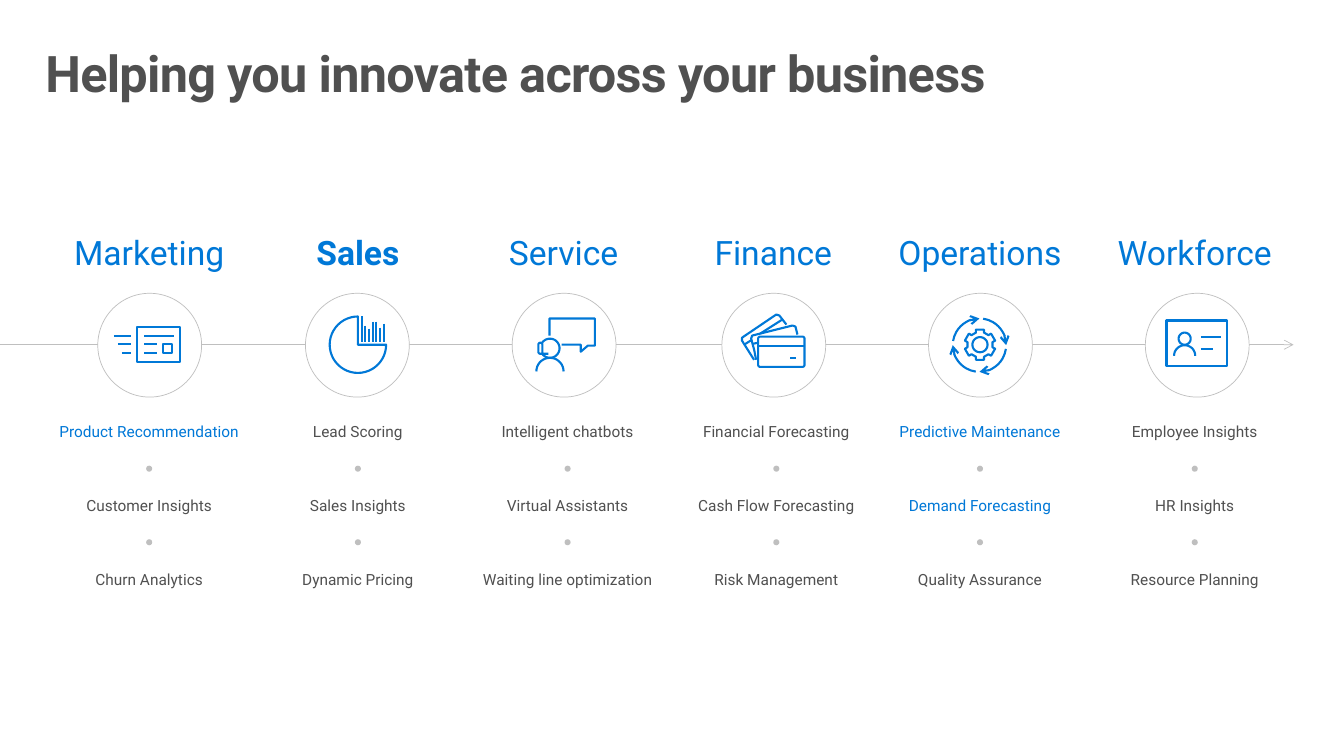
from dataclasses import dataclass
from math import ceil, cos, radians, sin

from pptx import Presentation
from pptx.dml.color import RGBColor
from pptx.enum.shapes import MSO_CONNECTOR, MSO_SHAPE
from pptx.enum.text import MSO_ANCHOR, PP_ALIGN
from pptx.oxml.ns import qn
from pptx.oxml.xmlchemy import OxmlElement as new_element
from pptx.util import Emu, Pt

EMU_PER_PX = 9144  # 100 px to the inch
FONT = "Roboto"
BLUE = RGBColor(0x00, 0x78, 0xD7)
DARK = RGBColor(0x50, 0x50, 0x50)
GREY = RGBColor(0xBF, 0xBF, 0xBF)
WHITE = RGBColor(0xFF, 0xFF, 0xFF)

Point = tuple[float, float]
Stroke = list[Point]


@dataclass(frozen=True)
class Topic:
    text: str
    highlighted: bool = False


@dataclass(frozen=True)
class Column:
    heading: str
    heading_left: int
    circle_left: int
    topics_left: int
    topics: tuple[Topic, Topic, Topic]
    bold: bool = False


COLUMNS = [
    Column("Marketing", 50, 97, 50,
           (Topic("Product Recommendation", True), Topic("Customer Insights"), Topic("Churn Analytics"))),
    Column("Sales", 257, 303, 257,
           (Topic("Lead Scoring"), Topic("Sales Insights"), Topic("Dynamic Pricing")), bold=True),
    Column("Service", 461, 508, 465,
           (Topic("Intelligent chatbots"), Topic("Virtual Assistants"), Topic("Waiting line optimization"))),
    Column("Finance", 669, 716, 672,
           (Topic("Financial Forecasting"), Topic("Cash Flow Forecasting"), Topic("Risk Management"))),
    Column("Operations", 874, 921, 874,
           (Topic("Predictive Maintenance", True), Topic("Demand Forecasting", True), Topic("Quality Assurance"))),
    Column("Workforce", 1087, 1136, 1087,
           (Topic("Employee Insights"), Topic("HR Insights"), Topic("Resource Planning"))),
]


def px(value: float) -> Emu:
    return Emu(round(value * EMU_PER_PX))


def add_text(text: str, left: int, top: int, width: int, height: int, size: int,
             color: RGBColor, bold: bool = False):
    shape = slide.shapes.add_textbox(px(left), px(top), px(width), px(height))
    frame = shape.text_frame
    frame.word_wrap = True
    frame.margin_left = frame.margin_right = frame.margin_top = frame.margin_bottom = 0
    frame.vertical_anchor = MSO_ANCHOR.MIDDLE
    paragraph = frame.paragraphs[0]
    paragraph.text = text
    paragraph.alignment = PP_ALIGN.CENTER
    font = paragraph.font
    font.name, font.size, font.bold = FONT, Pt(size), bold
    font.color.rgb = color
    return shape


def add_preset(kind: MSO_SHAPE, left: int, top: int, size: int, fill: RGBColor | None,
               line: RGBColor | None, weight: float = 1.5):
    shape = slide.shapes.add_shape(kind, px(left), px(top), px(size), px(size))
    shape.shadow.inherit = False
    if fill is None:
        shape.fill.background()
    else:
        shape.fill.solid()
        shape.fill.fore_color.rgb = fill
    if line is None:
        shape.line.fill.background()
    else:
        shape.line.color.rgb = line
        shape.line.width = Pt(weight)
    return shape


def add_line(start: Point, end: Point, color: RGBColor = BLUE, weight: float = 1.5):
    line = slide.shapes.add_connector(MSO_CONNECTOR.STRAIGHT, *map(px, start + end))
    line.line.color.rgb = color
    line.line.width = Pt(weight)
    line._element.spPr.append(new_element("a:effectLst"))
    return line


def add_arrowhead(shape, end: str) -> None:
    head = new_element(f"a:{end}")
    head.set("type", "arrow")
    shape.line._get_or_add_ln().append(head)


def add_strokes(*strokes: Stroke) -> None:
    builder = slide.shapes.build_freeform(*map(px, strokes[0][0]), scale=1.0)
    for stroke in strokes:
        start, *rest = [(px(x), px(y)) for x, y in stroke]
        builder.move_to(*start)
        builder.add_line_segments(rest, close=False)
    shape = builder.convert_to_shape()
    shape.shadow.inherit = False
    shape.fill.background()
    shape.line.color.rgb = BLUE
    shape.line.width = Pt(1.5)


def arc(x: float, y: float, radius: float, start: int, end: int) -> Stroke:
    """Points along an arc; angles run clockwise from the right."""
    steps = ceil(abs(end - start) / 10)
    angles = [radians(start + (end - start) * i / steps) for i in range(steps + 1)]
    return [(x + radius * cos(a), y + radius * sin(a)) for a in angles]


def box(left: int, top: int, right: int, bottom: int) -> Stroke:
    return [(left, top), (right, top), (right, bottom), (left, bottom), (left, top)]


def draw_mailing() -> None:
    rows = [(113, 130, 333), (117, 130, 341), (121, 130, 350),
            (143, 173, 333), (143, 156, 341), (143, 156, 350)]
    add_strokes(*[[(left, y), (right, y)] for left, right, y in rows],
                box(136, 324, 179, 359), box(162, 341, 171, 350))


def draw_sales_chart() -> None:
    add_preset(MSO_SHAPE.PIE, 327, 314, 56, None, BLUE)
    for i, top in enumerate((314, 323, 326, 319, 319, 325, 321)):
        x = 359 + 11 * i // 3
        add_line((x, top), (x, 339))


def draw_agent() -> None:
    headset = [(538, 351), *arc(536, 342, 2, 0, -180), (534, 348), *arc(536, 349, 2, 180, 90), (544, 351)]
    add_strokes(arc(545.5, 368.5, 13.5, 180, 360), headset, arc(545.5, 345.5, 9.5, 145, -145))
    add_strokes([(545, 333), (545, 316), (590, 316), (590, 343), (583, 343),
                 (576, 349), (576, 342), (557, 342)])


def draw_cards() -> None:
    corners = [(754, 336, 180), (796, 336, 270), (796, 362, 0), (754, 362, 90)]
    front = [point for x, y, start in corners for point in arc(x, y, 2, start, start + 90)]
    add_strokes(front + front[:1], [(752, 343), (798, 343)], [(784, 355), (790, 355)])
    add_strokes([(750, 357), (748, 347), (745, 336), (746, 333), (786, 323), (789, 324), (791, 332)])
    add_strokes([(748, 357), (736, 338), (736, 335), (770, 312), (773, 313), (780, 322)])
    for start, end in [((747, 341), (752, 340)), ((738, 342), (746, 337)), ((754, 331), (776, 317))]:
        add_line(start, end)


def draw_process() -> None:
    # Four arrows around the gear
    for flips, start, end, arrow in [((), 278, 360, "tailEnd"), (("flipV",), 270, 352, "headEnd"),
                                     (("flipH",), 270, 351, "headEnd"), (("flipH", "flipV"), 278, 360, "tailEnd")]:
        shape = add_preset(MSO_SHAPE.ARC, 945, 316, 53, None, BLUE)
        shape.adjustments[0], shape.adjustments[1] = start * 0.6, end % 360 * 0.6
        for flip in flips:
            shape._element.spPr.find(qn("a:xfrm")).set(flip, "1")
        add_arrowhead(shape, arrow)
    # Gear: one tooth turned six times
    tooth = [(-4, -12), (-4, -15), (4, -15), (4, -12)]
    turns = [radians(60 * i) for i in range(6)]
    gear = [(972 + x * cos(a) - y * sin(a), 342 + x * sin(a) + y * cos(a)) for a in turns for x, y in tooth]
    add_strokes(arc(972, 342, 7.5, 0, 360), gear + gear[:1])


def draw_badge() -> None:
    add_strokes([(1191, 334), (1211, 334)], [(1191, 346), (1203, 346)], box(1157, 318, 1217, 363),
                arc(1175, 336, 6, 0, 360), arc(1175, 353, 10.5, 180, 360))


presentation = Presentation()
presentation.slide_width, presentation.slide_height = px(1333), px(750)
slide = presentation.slides.add_slide(presentation.slide_layouts[6])

# Title
title = add_text("Helping you innovate across your business", 29, 32, 1275, 98, 36, DARK, bold=True)
title_frame = title.text_frame
title_frame.margin_left = title_frame.margin_right = px(16)
title_frame.margin_top = title_frame.margin_bottom = px(10)
title_frame.vertical_anchor = MSO_ANCHOR.TOP
title_frame.paragraphs[0].alignment = PP_ALIGN.LEFT
title_frame.paragraphs[0].runs[0]._r.get_or_add_rPr().set("spc", "-50")

# Timeline behind the circles
add_arrowhead(add_line((0, 342), (1283, 342), GREY, 0.5), "tailEnd")

# Columns: heading, circle, topics and the dots between them
for column in COLUMNS:
    add_text(column.heading, column.heading_left, 229, 196, 42, 24, BLUE, column.bold)
    add_preset(MSO_SHAPE.OVAL, column.circle_left, 291, 103, WHITE, GREY, 0.5)
    for row, topic in enumerate(column.topics):
        offset = 147 * row // 2
        add_text(topic.text, column.topics_left, 407 + offset, 196, 42, 11,
                 BLUE if topic.highlighted else DARK)
        if row:
            add_preset(MSO_SHAPE.OVAL, column.topics_left + 95, 388 + offset + row % 2, 6, GREY, None)

# Icons
for draw_icon in (draw_mailing, draw_sales_chart, draw_agent, draw_cards, draw_process, draw_badge):
    draw_icon()

presentation.save("out.pptx")
